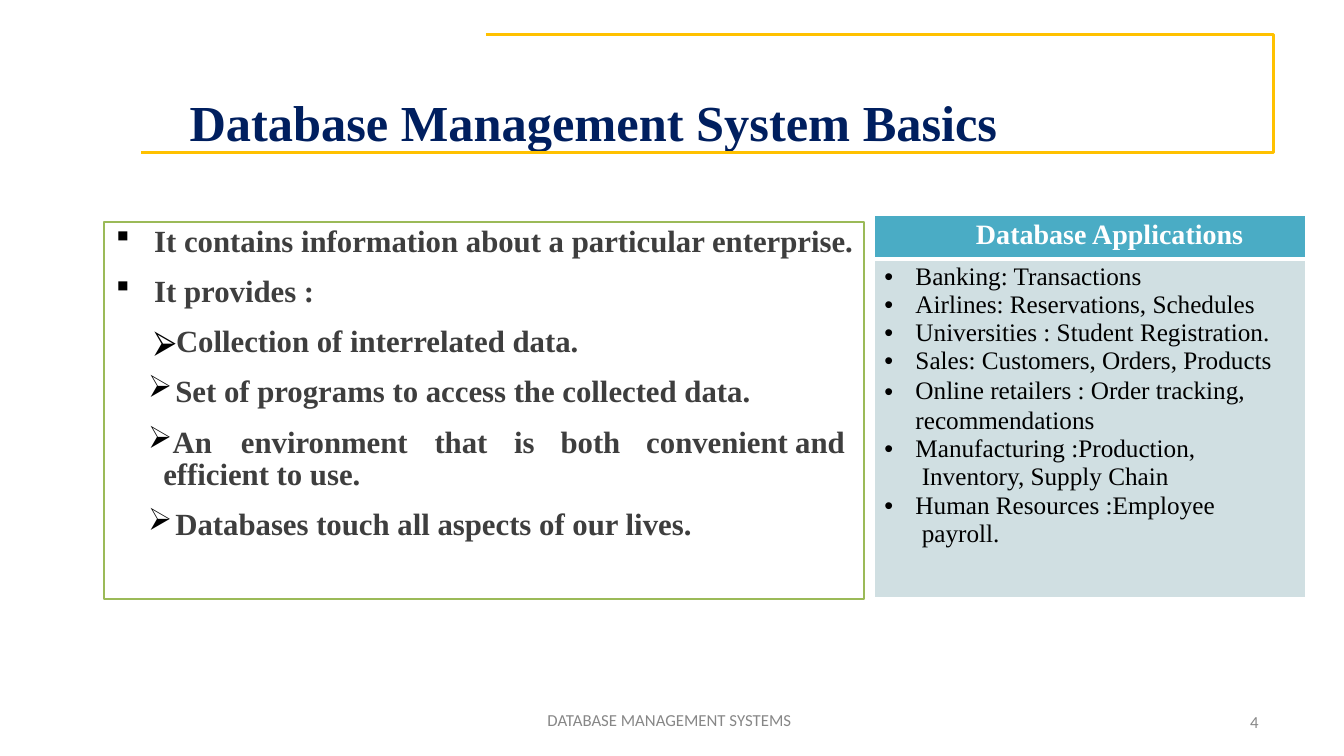
from dataclasses import dataclass
from typing import Optional

from lxml import etree
from pptx import Presentation
from pptx import util as u
from pptx.dml.color import RGBColor
from pptx.enum import shapes, text
from pptx.oxml import ns

NAVY = RGBColor(0x00, 0x1F, 0x5F)
GOLD = RGBColor(0xFF, 0xC1, 0x00)
GREEN = RGBColor(0x9B, 0xBA, 0x58)
TEAL = RGBColor(0x4A, 0xAC, 0xC5)
PALE_TEAL = RGBColor(0xD0, 0xDF, 0xE2)
DARK_GRAY = RGBColor(0x3E, 0x3E, 0x3E)
GRAY = RGBColor(0x87, 0x87, 0x87)
BLACK = RGBColor(0, 0, 0)
WHITE = RGBColor(0xFF, 0xFF, 0xFF)
SERIF = "Times New Roman"


@dataclass(frozen=True)
class Style:
    size: float
    color: RGBColor
    bold: bool = False
    name: str = SERIF


@dataclass(frozen=True)
class Bullet:
    character: str
    font: str


@dataclass(frozen=True)
class Line:
    """One paragraph; indents and tabs in inches, spacing in points."""
    text: str
    left: float = 0
    hanging: float = 0
    bullet: Optional[Bullet] = None
    before: float = 0
    spacing: Optional[float] = None
    level: int = 0
    tabs: tuple[float, ...] = ()
    marker: str = ""


TITLE = Style(36, NAVY, True)
BASICS = Style(22, DARK_GRAY, True)
HEADER = Style(20, WHITE, True)
APPLICATION = Style(18, BLACK)
FOOTER = Style(12, GRAY, name="Calibri")

# Wingdings draws § as a small square and Ø as an arrowhead
SQUARE = Bullet("§", "Wingdings")
ARROW = Bullet("Ø", "Wingdings")
DOT = Bullet("•", "Arial")

BASICS_LINES = [
    Line("It contains information about a particular enterprise.", 0.5, 0.38, SQUARE, spacing=26.1),
    Line("It provides :", 0.5, 0.38, SQUARE, 9.3),
    Line("Collection of interrelated data.", 0.5, before=9.3, marker="⮚"),
    Line("Set of programs to access the collected data.", 0.71, 0.27, ARROW, 9.4, level=1),
    Line("An\tenvironment\tthat\tis\tboth\tconvenient\tand\vefficient to use.", 0.59, 0.15, ARROW,
         13.2, 23.3, 1, (0.71, 1.36, 3.28, 4.07, 4.53, 5.38, 6.88)),
    Line("Databases touch all aspects of our lives.", 0.71, 0.27, ARROW, 9.1, level=1),
]
APPLICATION_LINES = [
    Line("Banking: Transactions", 0.41, 0.31, DOT),
    Line("Airlines: Reservations, Schedules", 0.41, 0.31, DOT),
    Line("Universities : Student Registration.", 0.41, 0.31, DOT),
    Line("Sales: Customers, Orders, Products", 0.41, 0.31, DOT),
    Line("Online retailers : Order tracking,", 0.41, 0.31, DOT, 0.5, 21.4),
    Line("recommendations", 0.41, spacing=21.4),
    Line("Manufacturing :Production,\v Inventory, Supply Chain", 0.41, 0.31, DOT),
    Line("Human Resources :Employee\v payroll.", 0.41, 0.31, DOT, 0.5),
]


def add_element(parent, tag: str, **attributes: str):
    return etree.SubElement(parent, ns.qn(tag), attributes)


def set_font(font, style: Style) -> None:
    font.size = u.Pt(style.size)
    font.name = style.name
    font.bold = style.bold
    font.color.rgb = style.color


def write_line(paragraph, line: Line, style: Style) -> None:
    properties = paragraph._p.get_or_add_pPr()
    properties.set("marL", str(u.Inches(line.left)))
    properties.set("indent", str(-u.Inches(line.hanging)))
    if line.bullet:
        color = add_element(properties, "a:buClr")
        add_element(color, "a:srgbClr", val=str(BLACK))
        add_element(properties, "a:buFont", typeface=line.bullet.font)
        add_element(properties, "a:buChar", char=line.bullet.character)
    else:
        add_element(properties, "a:buNone")
    if line.tabs:
        stops = add_element(properties, "a:tabLst")
        for position in line.tabs:
            add_element(stops, "a:tab", pos=str(u.Inches(position)), algn="l")
    paragraph.alignment = text.PP_ALIGN.LEFT
    paragraph.level = line.level
    paragraph.space_before = u.Pt(line.before)
    if line.spacing:
        paragraph.line_spacing = u.Pt(line.spacing)
    if line.marker:
        marker = paragraph.add_run()
        marker.text = line.marker
        set_font(marker.font, Style(style.size, BLACK, name="Arial"))
        paragraph.add_run().text = line.text
    else:
        paragraph.text = line.text
    set_font(paragraph.font, style)


def write_lines(frame, lines: list[Line], style: Style) -> None:
    for index, line in enumerate(lines):
        paragraph = frame.add_paragraph() if index else frame.paragraphs[0]
        write_line(paragraph, line, style)


def prepare_frame(frame, wrap: bool = True) -> None:
    frame.margin_left = frame.margin_top = frame.margin_right = frame.margin_bottom = 0
    frame.auto_size = text.MSO_AUTO_SIZE.NONE
    frame.vertical_anchor = text.MSO_ANCHOR.TOP
    frame.word_wrap = wrap


def box(left: float, top: float, width: float, height: float) -> tuple[u.Length, ...]:
    return tuple(u.Inches(value) for value in (left, top, width, height))


def add_bracket(slide) -> None:
    builder = slide.shapes.build_freeform(u.Inches(4.82), u.Inches(0.34))
    corners = [(12.63, 0.34), (12.63, 1.51), (1.4, 1.51)]
    builder.add_line_segments([(u.Inches(x), u.Inches(y)) for x, y in corners], close=False)
    bracket = builder.convert_to_shape()
    bracket.shadow.inherit = False
    bracket.fill.background()
    bracket.line.color.rgb = GOLD
    bracket.line.width = u.Pt(2)


def add_title(slide) -> None:
    title = slide.shapes.title
    title.left, title.top, title.width, title.height = box(1.87, 0.89, 8.04, 0.63)
    prepare_frame(title.text_frame)
    title.text_frame.margin_top = u.Inches(0.01)
    write_lines(title.text_frame, [Line("Database Management System Basics", 0.01)], TITLE)


def add_basics(slide) -> None:
    panel = slide.shapes.add_shape(shapes.MSO_SHAPE.RECTANGLE, *box(1.03, 2.2, 7.54, 3.74))
    panel.shadow.inherit = False
    panel.fill.solid()
    panel.fill.fore_color.rgb = WHITE
    panel.line.color.rgb = GREEN
    panel.line.width = u.Pt(1.25)
    prepare_frame(panel.text_frame)
    write_lines(panel.text_frame, BASICS_LINES, BASICS)


def set_cell(cell, fill: RGBColor, borders: dict[str, float]) -> None:
    cell.margin_left = cell.margin_right = cell.margin_bottom = 0
    cell.margin_top = u.Inches(0.04)
    properties = cell._tc.get_or_add_tcPr()
    for side, width in borders.items():
        border = add_element(properties, f"a:ln{side}", w=str(u.Pt(width)))
        add_element(add_element(border, "a:solidFill"), "a:srgbClr", val=str(WHITE))
    cell.fill.solid()
    cell.fill.fore_color.rgb = fill


def add_applications(slide) -> None:
    table = slide.shapes.add_table(2, 1, *box(8.67, 2.14, 4.28, 3.79)).table
    table.horz_banding = False
    table.rows[0].height, table.rows[1].height = u.Inches(0.43), u.Inches(3.36)
    header, body = table.cell(0, 0), table.cell(1, 0)
    set_cell(header, TEAL, {"L": 1, "R": 1, "T": 1, "B": 3})
    set_cell(body, PALE_TEAL, {"L": 1, "R": 1, "T": 3, "B": 1})
    write_lines(header.text_frame, [Line("Database Applications", 1.01)], HEADER)
    write_lines(body.text_frame, APPLICATION_LINES, APPLICATION)


def add_footer(slide, line: Line, left: float, width: float) -> None:
    footer = slide.shapes.add_textbox(*box(left, 7.07, width, 0.19))
    prepare_frame(footer.text_frame, wrap=False)
    write_lines(footer.text_frame, [line], FOOTER)


def main() -> None:
    presentation = Presentation()
    presentation.slide_width, presentation.slide_height = u.Inches(13.33), u.Inches(7.5)
    slide = presentation.slides.add_slide(presentation.slide_layouts[5])
    add_bracket(slide)
    add_title(slide)
    add_basics(slide)
    add_applications(slide)
    add_footer(slide, Line("DATABASE MANAGEMENT SYSTEMS", 0.01, spacing=12.4), 5.42, 2.49)
    add_footer(slide, Line("4", 0.04, spacing=13.8), 12.36, 0.25)
    presentation.save("out.pptx")


if __name__ == "__main__":
    main()
